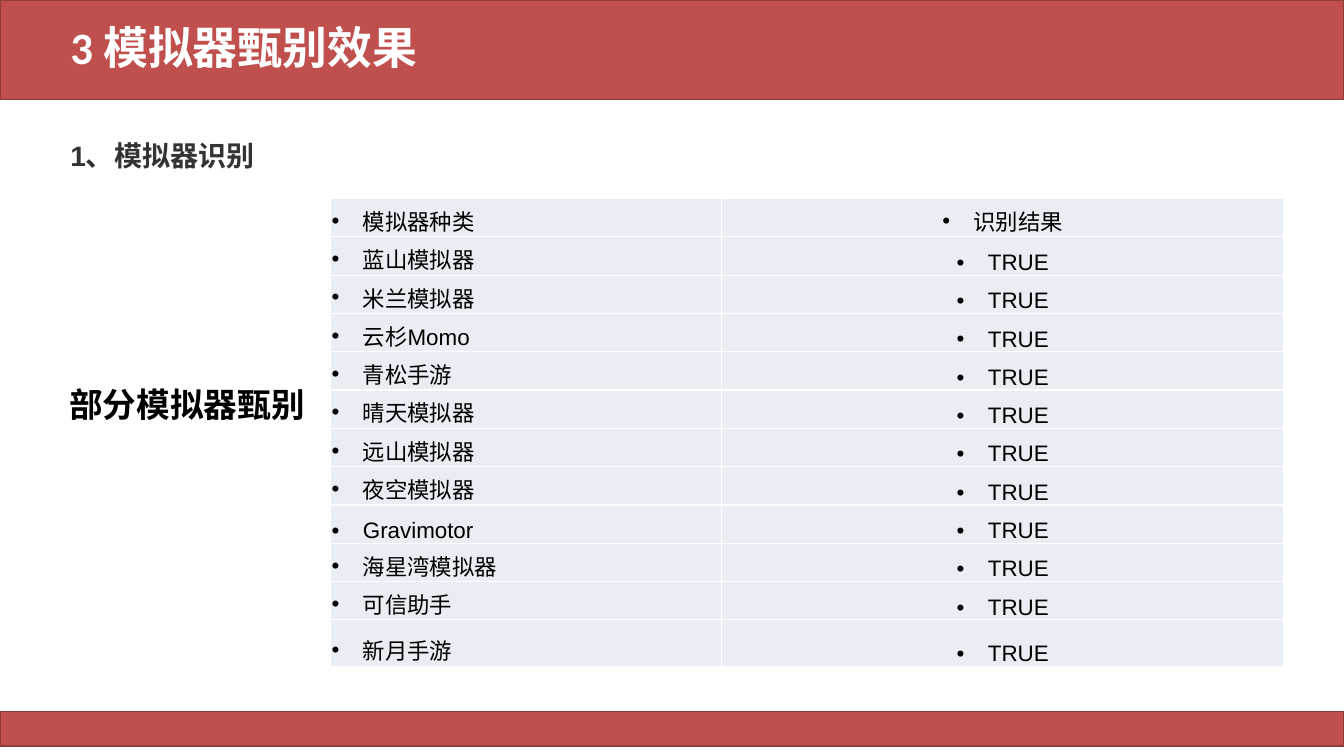
from lxml import etree
from pptx import Presentation
from pptx import util as u
from pptx.dml.color import RGBColor
from pptx.enum import shapes, text
from pptx.oxml import ns

RED, DARK_RED = "C0504D", "8E3B39"
WHITE, BLACK, GREY, PALE = "FFFFFF", "000000", "333333", "E9EDF4"
EMULATORS = ["蓝山模拟器", "米兰模拟器", "云杉Momo", "青松手游", "晴天模拟器", "远山模拟器",
             "夜空模拟器", "Gravimotor", "海星湾模拟器", "可信助手", "新月手游"]
ROWS = [("模拟器种类", "识别结果")] + [(name, "TRUE") for name in EMULATORS]


def color(value):
    return RGBColor.from_string(value)


def add_xml(parent, tag, **attributes):
    return etree.SubElement(parent, ns.qn(tag), attributes)


class SlideBuilder:
    def __init__(self, slide, font="Arial"):
        self.slide = slide
        self.font = font

    def band(self, top, height):
        """Draw a red strip across the full slide width."""
        band = self.slide.shapes.add_shape(
            shapes.MSO_SHAPE.RECTANGLE, 0, u.Inches(top), u.Inches(13.33), u.Inches(height))
        band.shadow.inherit = False
        band.fill.solid()
        band.fill.fore_color.rgb = color(RED)
        band.line.color.rgb = color(DARK_RED)
        band.line.width = u.Pt(1)

    def fill_paragraph(self, para, content, size, fill, bold=False, font=None):
        para.text = content
        for span in para.runs:
            span.font.size = u.Pt(size)
            span.font.name = font or self.font
            span.font.bold = bold
            span.font.color.rgb = color(fill)

    def label(self, content, area, size, fill, anchor, wrap=True, font=None):
        box = self.slide.shapes.add_textbox(*map(u.Inches, area))
        frame = box.text_frame
        frame.word_wrap = wrap
        frame.vertical_anchor = anchor
        self.fill_paragraph(frame.paragraphs[0], content, size, fill, True, font)
        return frame.paragraphs[0]

    def table(self, rows, left, top, widths, heights):
        frame = self.slide.shapes.add_table(
            len(rows), len(widths), u.Inches(left), u.Inches(top),
            u.Inches(sum(widths)), u.Inches(sum(heights)))
        table = frame.table
        table.first_row = table.horz_banding = False
        for column, width in zip(table.columns, widths):
            column.width = u.Inches(width)
        for row, height, values in zip(table.rows, heights, rows):
            row.height = u.Inches(height)
            for index, value in enumerate(values):
                self.cell(row.cells[index], value, centred=index == 1)

    def cell(self, cell, content, centred):
        cell.margin_left = cell.margin_top = cell.margin_right = u.Inches(0.01)
        cell.margin_bottom = 0
        cell.vertical_anchor = text.MSO_ANCHOR.BOTTOM
        self.borders(cell)
        cell.fill.solid()
        cell.fill.fore_color.rgb = color(PALE)
        para = cell.text_frame.paragraphs[0]
        self.fill_paragraph(para, content, 16, BLACK)
        para.alignment = text.PP_ALIGN.CENTER if centred else text.PP_ALIGN.LEFT
        self.bullet(para)

    def borders(self, cell):
        properties = cell._tc.get_or_add_tcPr()
        for side in "LRTB":
            line = add_xml(properties, f"a:ln{side}", w=str(u.Pt(1)))
            add_xml(add_xml(line, "a:solidFill"), "a:srgbClr", val=WHITE)

    def bullet(self, para):
        indent = u.Inches(0.31)
        properties = para._p.get_or_add_pPr()
        properties.set("marL", str(indent))
        properties.set("indent", str(-indent))
        add_xml(properties, "a:buFont", typeface=self.font)
        add_xml(properties, "a:buChar", char="•")


def main():
    deck = Presentation()
    deck.slide_width, deck.slide_height = u.Inches(13.33), u.Inches(7.5)
    page = SlideBuilder(deck.slides.add_slide(deck.slide_layouts[6]))
    page.band(0, 0.99)
    page.band(7.06, 0.34)
    title = page.label("3 模拟器甄别效果", (0.6, 0.2, 11.5, 0.59), 32, WHITE,
                       text.MSO_ANCHOR.MIDDLE, font="Calibri")
    title.line_spacing = 0.9
    page.label("1、模拟器识别", (0.6, 0.99, 11.5, 0.77), 20, GREY, text.MSO_ANCHOR.BOTTOM)
    page.table(ROWS, 3.28, 1.97, [3.88, 5.57], [0.38] * (len(ROWS) - 1) + [0.46])
    page.label("部分模拟器甄别", (0.59, 3.76, 2.56, 0.5), 24, BLACK,
               text.MSO_ANCHOR.TOP, wrap=False)
    deck.save("out.pptx")


if __name__ == "__main__":
    main()
